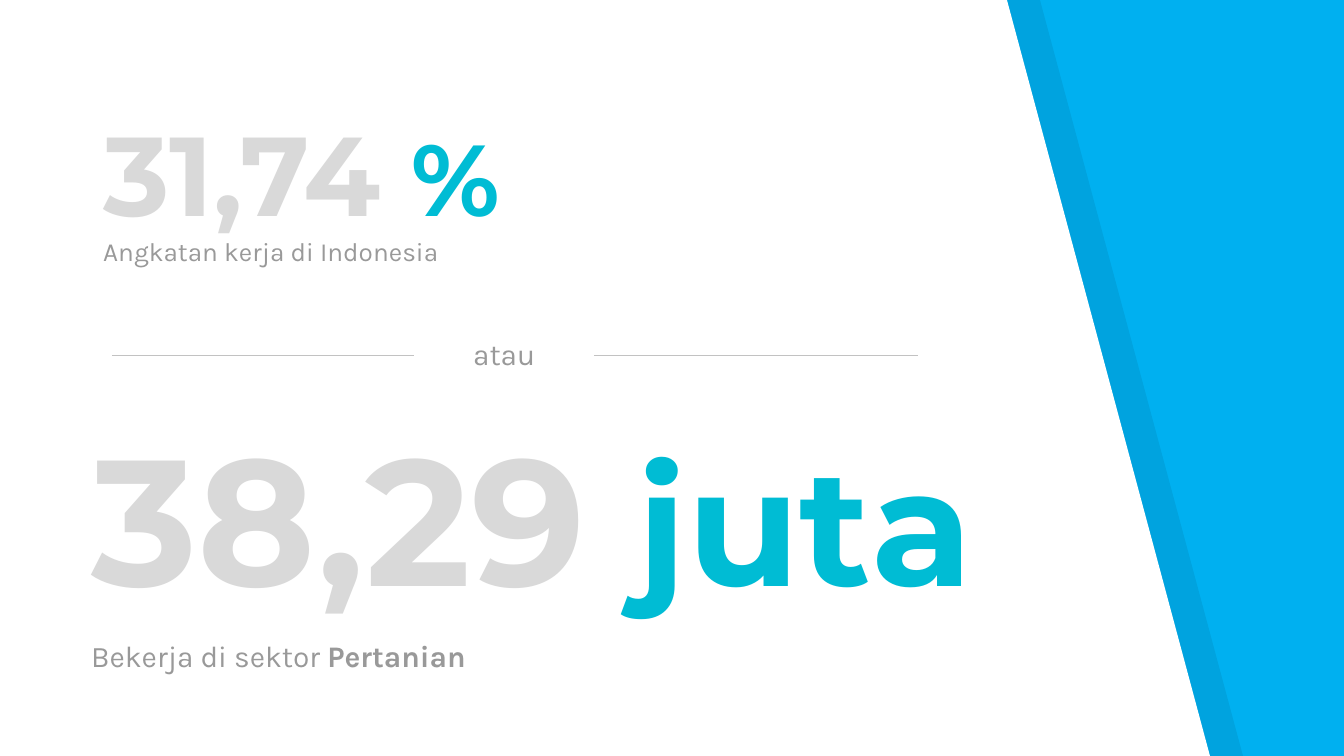
import pptx
import pptx.dml.color
import pptx.enum.shapes
import pptx.oxml.ns
import pptx.util
from lxml import etree

PX = 914400 / 134.4
WIDTH, HEIGHT = 1344, 756
COLORS = {
    "background": "00B0F0",
    "panel": "FFFFFF",
    "shade": "000000",
    "number": "D9D9D9",
    "unit": "00BCD4",
    "caption": "999999",
    "rule": "C2C2C2",
}


def emu(pixels):
    return pptx.util.Emu(round(pixels * PX))


def rgb(name):
    return pptx.dml.color.RGBColor.from_string(COLORS[name])


def add_text(slide, box, runs, font, inset=13):
    """Add one line of text from (text, format) pairs."""
    shape = slide.shapes.add_textbox(*map(emu, box))
    frame = shape.text_frame
    frame.word_wrap = True
    frame.margin_left = frame.margin_right = pptx.util.Inches(0.1)
    frame.margin_top = frame.margin_bottom = emu(inset)
    for text, style in runs:
        add_run(frame.paragraphs[0], text, font=font, **style)


def add_run(paragraph, text, font, size, color, bold=False):
    run = paragraph.add_run()
    run.text = text
    run.font.name = font
    run.font.size = pptx.util.Pt(size)
    run.font.bold = bold
    run.font.color.rgb = rgb(color)


def add_panel(slide, box, top_width, color, opacity=100):
    """Add a panel whose right edge slants out from top_width to the box width."""
    left, top, width, height = box
    builder = slide.shapes.build_freeform(left, top, scale=PX)
    builder.add_line_segments([
        (left, top + height),
        (left + width, top + height),
        (left + top_width, top),
    ], close=True)
    shape = builder.convert_to_shape()
    shape.shadow.inherit = False
    shape.line.fill.background()
    shape.fill.solid()
    shape.fill.fore_color.rgb = rgb(color)
    if opacity < 100:
        fill_color = shape.fill._xPr.find(".//" + pptx.oxml.ns.qn("a:srgbClr"))
        alpha = etree.SubElement(fill_color, pptx.oxml.ns.qn("a:alpha"))
        alpha.set("val", str(opacity * 1000))


def add_background(slide, box):
    left, top, width, height = box
    slide.background.fill.solid()
    slide.background.fill.fore_color.rgb = rgb("background")
    bottom_width, top_width, offset = 1210, 1007, 33
    add_panel(slide, (left + offset, top, bottom_width, height), top_width, "shade", 7)
    add_panel(slide, (left, top, bottom_width, height), top_width, "panel")


def add_statistic(slide, box, number, unit, sizes, caption, caption_top, caption_size):
    """Add a large number with its unit, and a caption below it."""
    left, top, width, height = box
    number_size, unit_size = sizes
    add_text(slide, box, [
        (number + " ", dict(size=number_size, color="number", bold=True)),
        (unit, dict(size=unit_size, color="unit", bold=True)),
    ], font="Montserrat", inset=7)
    add_text(slide, (left, top + caption_top, 460, 67), [
        (text, dict(size=caption_size, color="caption", bold=bold))
        for text, bold in caption
    ], font="Karla")


def add_rule(slide, left, right, y):
    rule = slide.shapes.add_connector(
        pptx.enum.shapes.MSO_CONNECTOR.STRAIGHT,
        emu(left), emu(y), emu(right), emu(y))
    rule.line.color.rgb = rgb("rule")
    rule.line.width = pptx.util.Pt(1)
    etree.SubElement(rule._element.spPr, pptx.oxml.ns.qn("a:effectLst"))


def add_divider(slide, box, word):
    """Add a word between two rules that reach the sides of the box."""
    left, top, width, height = box
    middle = top + height / 2 - 1
    add_rule(slide, left, left + 302, middle)
    add_text(slide, (left + 348, top, 101, height),
             [(word, dict(size=16, color="caption"))], font="Karla")
    add_rule(slide, left + 482, left + width, middle)


def main():
    presentation = pptx.Presentation()
    presentation.slide_width = emu(WIDTH)
    presentation.slide_height = emu(HEIGHT)
    slide = presentation.slides.add_slide(presentation.slide_layouts[6])
    add_background(slide, (0, 0, WIDTH, HEIGHT))
    add_statistic(slide, (90, 98, 605, 149), "31,74", "%", (60, 54),
                  [("Angkatan kerja di Indonesia", False)], 124, 14)
    add_divider(slide, (112, 323, 806, 67), "atau")
    add_statistic(slide, (78, 400, 1008, 231), "38,29", "juta", (96, 88),
                  [("Bekerja di sektor ", False), ("Pertanian", True)], 225, 16)
    presentation.save("out.pptx")


if __name__ == "__main__":
    main()
